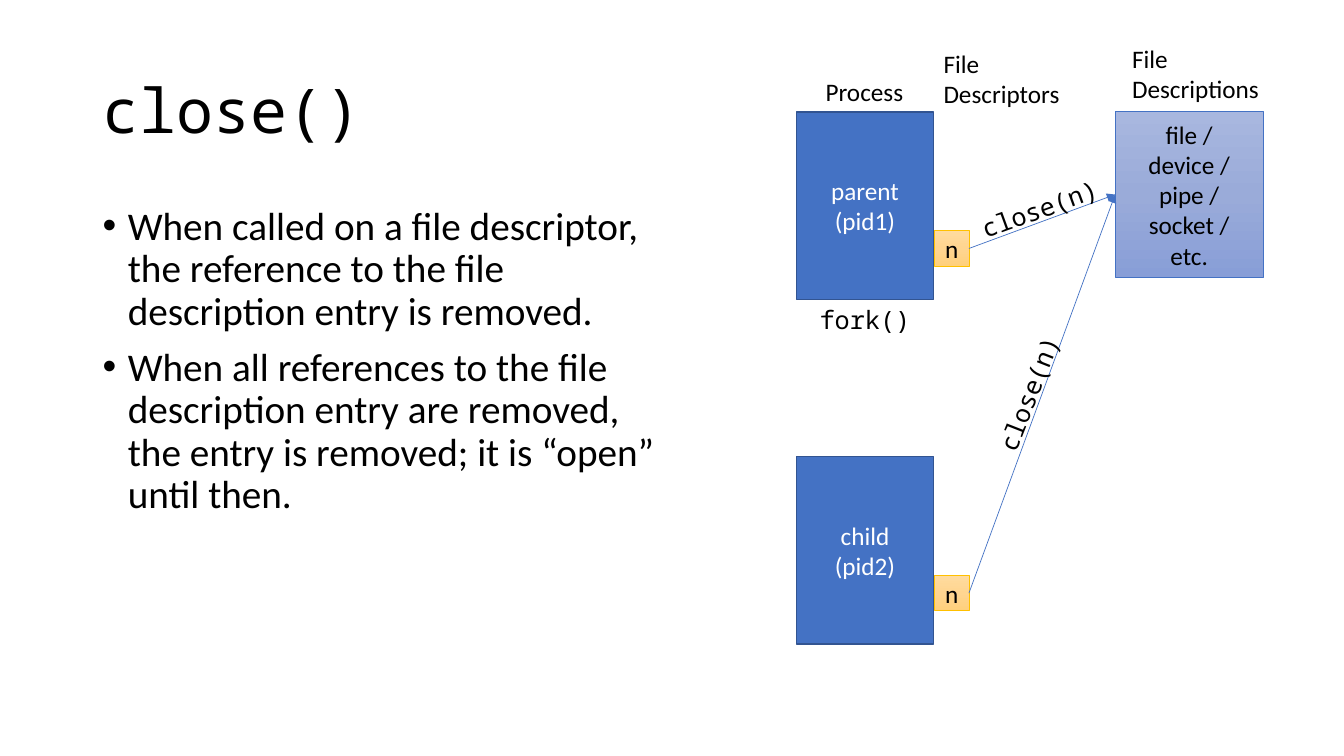
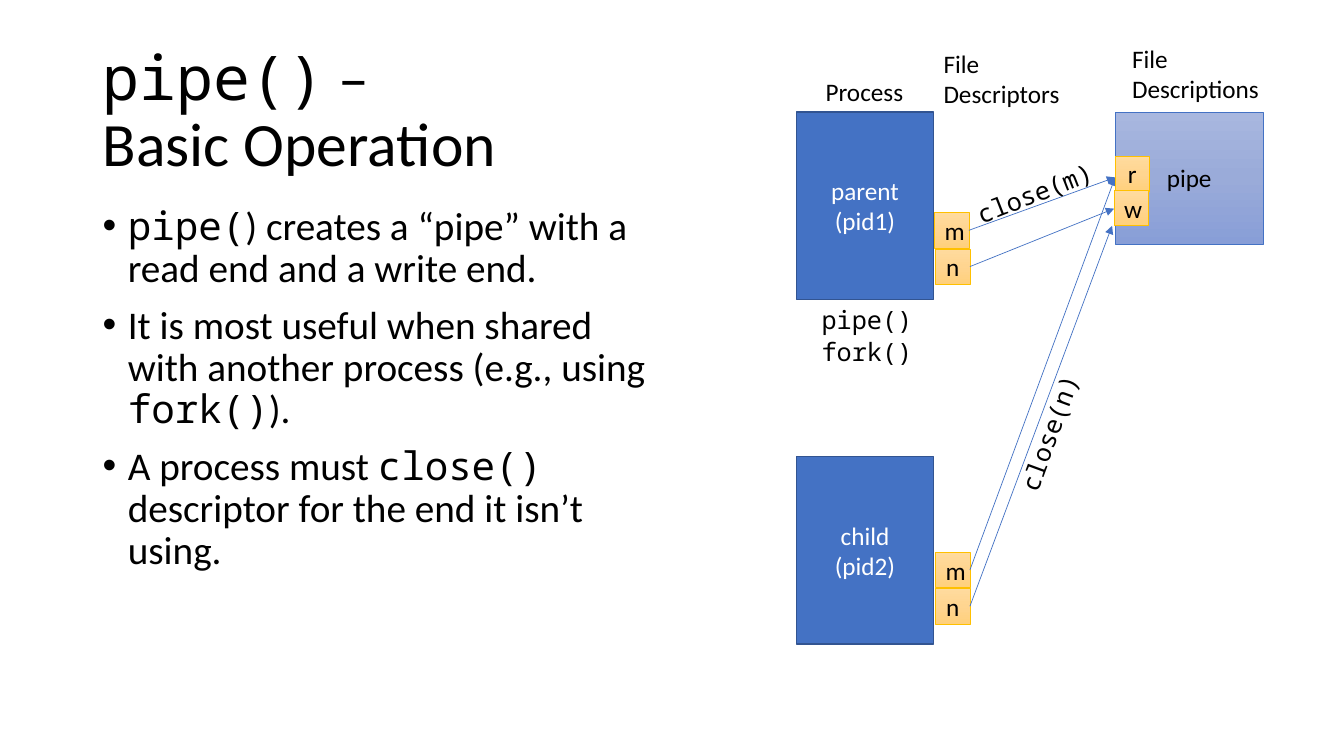
import copy

import pptx
import pptx.dml.color
import pptx.enum.shapes
import pptx.enum.text
import pptx.oxml
import pptx.oxml.ns
import pptx.util
from pptx.util import Inches

COLORS = {
    "text": "000000",
    "process_text": "FFFFFF",
    "process": "4472C4",
    "process_line": "325491",
    "tag_line": "FFC000",
}
TAG_GRADIENT = ("FFDB9E", "FFD590", "FFD07C")
DESCRIPTION_GRADIENT = ("A8B7DF", "9AABD9", "889ED7")
BODY_FONT = "Calibri"
CODE_FONT = "Noto Sans Mono"

PROCESS_LEFT, PROCESS_WIDTH, PROCESS_HEIGHT = 7.9, 1.36, 1.86
PROCESSES = [("parent\n(pid1)", 1.11), ("child\n(pid2)", 4.53)]
DESCRIPTION_LEFT, DESCRIPTION_TOP, DESCRIPTION_WIDTH = 11.06, 1.11, 1.47
TAG_WIDTH, TAG_HEIGHT = 0.34, 0.35
HEADINGS = [
    ("Process", 8.09, 0.71, 0.98, 0.4),
    ("File\nDescriptors", 9.26, 0.43, 1.36, 0.71),
    ("File\nDescriptions", 11.13, 0.38, 1.47, 0.71),
]

SLIDES = [
    {
        "title": "`close()`",
        "bullets": [
            "When called on a file descriptor, the reference to the file description entry is removed.",
            "When all references to the file description entry are removed, "
            "the entry is removed; it is “open” until then.",
        ],
        "description": ("file /\ndevice /\npipe /\nsocket /\netc.", 1.64),
        "descriptors": [("n", 9.27, 2.29, (11.06, 1.93)), ("n", 9.27, 5.71, (11.06, 1.93))],
        "pipe_ends": [],
        "calls": [("fork()", 8.03, 2.97, 1.11, 0)],
        "closes": [("close(n)", 9.61, 1.87, 1.41, 340), ("close(n)", 9.5, 3.7, 1.41, 291.4)],
    },
    {
        "title": "`pipe()` –\nBasic Operation",
        "bullets": [
            "`pipe(`) creates a “pipe” with a read end and a write end.",
            "It is most useful when shared with another process (e.g., using `fork()`).",
            "A process must `close()` descriptor for the end it isn’t using.",
        ],
        "description": ("pipe", 1.31),
        "descriptors": [
            ("m", 9.27, 2.11, (11.06, 1.76)),
            ("n", 9.28, 2.47, (11.05, 2.07)),
            ("m", 9.28, 5.48, (11.06, 1.76)),
            ("n", 9.28, 5.84, (11.03, 2.24)),
        ],
        "pipe_ends": [("r", 11.06, 1.55), ("w", 11.05, 1.89)],
        "calls": [("pipe()", 8.05, 2.97, 1.11, 0), ("fork()", 8.05, 3.29, 1.11, 0)],
        "closes": [("close(m)", 9.56, 1.71, 1.41, 338.6), ("close(n)", 9.7, 4.09, 1.41, 290)],
    },
]


def rgb(value):
    return pptx.dml.color.RGBColor.from_string(value)


def style_font(font, size, name=BODY_FONT, color=COLORS["text"]):
    font.size = pptx.util.Pt(size)
    font.name = name
    font.color.rgb = rgb(color)


def write_plain(text_frame, text, name=BODY_FONT, color=COLORS["text"], alignment=None):
    text_frame.text = text
    for paragraph in text_frame.paragraphs:
        paragraph.alignment = alignment
        for run in paragraph.runs:
            style_font(run.font, 18, name, color)


def write_marked(paragraph, text, size):
    paragraph.line_spacing = 0.9
    for index, part in enumerate(text.split("`")):
        font_name = CODE_FONT if index % 2 else BODY_FONT
        for line_index, line in enumerate(part.split("\n")):
            if line_index:
                paragraph.add_line_break()
            if line:
                run = paragraph.add_run()
                run.text = line
                style_font(run.font, size, font_name)


def add_text_area(slide, left, top, width, height):
    text_frame = slide.shapes.add_textbox(
        Inches(left), Inches(top), Inches(width), Inches(height)).text_frame
    text_frame.word_wrap = True
    return text_frame


def add_title(slide, title):
    text_frame = add_text_area(slide, 0.92, 0.4, 11.5, 1.45)
    text_frame.vertical_anchor = pptx.enum.text.MSO_ANCHOR.MIDDLE
    write_marked(text_frame.paragraphs[0], title, 44)


def add_bullets(slide, bullets):
    text_frame = add_text_area(slide, 0.92, 2, 5.67, 4.76)
    for index, bullet in enumerate(bullets):
        paragraph = text_frame.add_paragraph() if index else text_frame.paragraphs[0]
        write_marked(paragraph, bullet, 28)
        paragraph.space_before = pptx.util.Pt(10)
        properties = paragraph._p.get_or_add_pPr()
        properties.set("marL", str(Inches(0.25)))
        properties.set("indent", str(-Inches(0.25)))
        namespace = pptx.oxml.ns.nsdecls("a")
        properties.append(pptx.oxml.parse_xml(f'<a:buFont {namespace} typeface="Arial"/>'))
        properties.append(pptx.oxml.parse_xml(f'<a:buChar {namespace} char="•"/>'))


def add_label(slide, text, left, top, width, height=0.4, rotation=0, name=BODY_FONT):
    label = slide.shapes.add_textbox(Inches(left), Inches(top), Inches(width), Inches(height))
    label.rotation = rotation
    label.text_frame.word_wrap = False
    label.text_frame.auto_size = pptx.enum.text.MSO_AUTO_SIZE.SHAPE_TO_FIT_TEXT
    write_plain(label.text_frame, text, name)


def fill_gradient(shape, colors):
    shape.fill.gradient()
    shape.fill.gradient_angle = 270
    stop_list = shape._element.spPr.find(".//" + pptx.oxml.ns.qn("a:gsLst"))
    stop_list.append(copy.deepcopy(stop_list[0]))
    for index, (stop, color) in enumerate(zip(shape.fill.gradient_stops, colors)):
        stop.position = index / 2
        stop.color.rgb = rgb(color)


def add_box(slide, text, left, top, width, height, line, gradient=None):
    box = slide.shapes.add_shape(
        pptx.enum.shapes.MSO_SHAPE.RECTANGLE,
        Inches(left), Inches(top), Inches(width), Inches(height))
    box.shadow.inherit = False
    if gradient:
        fill_gradient(box, gradient)
    else:
        box.fill.solid()
        box.fill.fore_color.rgb = rgb(COLORS["process"])
    box.line.color.rgb = rgb(line)
    box.line.width = pptx.util.Pt(0.5 if gradient else 1)
    box.text_frame.vertical_anchor = pptx.enum.text.MSO_ANCHOR.MIDDLE
    text_color = COLORS["text" if gradient else "process_text"]
    write_plain(box.text_frame, text, color=text_color,
                alignment=pptx.enum.text.PP_ALIGN.CENTER)


def add_tag(slide, letter, left, top):
    add_box(slide, letter, left, top, TAG_WIDTH, TAG_HEIGHT, COLORS["tag_line"], TAG_GRADIENT)


def add_arrow(slide, start, end):
    arrow = slide.shapes.add_connector(
        pptx.enum.shapes.MSO_CONNECTOR.STRAIGHT, *(Inches(value) for value in start + end))
    arrow.line.color.rgb = rgb(COLORS["process"])
    arrow.line.width = pptx.util.Pt(0.5)
    namespace = pptx.oxml.ns.nsdecls("a")
    arrow.line._get_or_add_ln().append(
        pptx.oxml.parse_xml(f'<a:tailEnd {namespace} type="triangle"/>'))
    arrow._element.spPr.append(pptx.oxml.parse_xml(f"<a:effectLst {namespace}/>"))


def add_diagram(slide, content):
    for text, top in PROCESSES:
        add_box(slide, text, PROCESS_LEFT, top, PROCESS_WIDTH, PROCESS_HEIGHT,
                COLORS["process_line"])
    text, height = content["description"]
    add_box(slide, text, DESCRIPTION_LEFT, DESCRIPTION_TOP, DESCRIPTION_WIDTH, height,
            COLORS["process"], DESCRIPTION_GRADIENT)
    for heading in HEADINGS:
        add_label(slide, *heading)
    for letter, left, top, target in content["descriptors"]:
        add_tag(slide, letter, left, top)
        add_arrow(slide, (left + TAG_WIDTH, top + TAG_HEIGHT / 2), target)
    for pipe_end in content["pipe_ends"]:
        add_tag(slide, *pipe_end)
    for text, left, top, width, rotation in content["calls"] + content["closes"]:
        add_label(slide, text, left, top, width, rotation=rotation, name=CODE_FONT)


presentation = pptx.Presentation()
presentation.slide_width = Inches(13.33)
presentation.slide_height = Inches(7.5)
for content in SLIDES:
    slide = presentation.slides.add_slide(presentation.slide_layouts[6])
    add_diagram(slide, content)
    add_bullets(slide, content["bullets"])
    add_title(slide, content["title"])
presentation.save("out.pptx")
